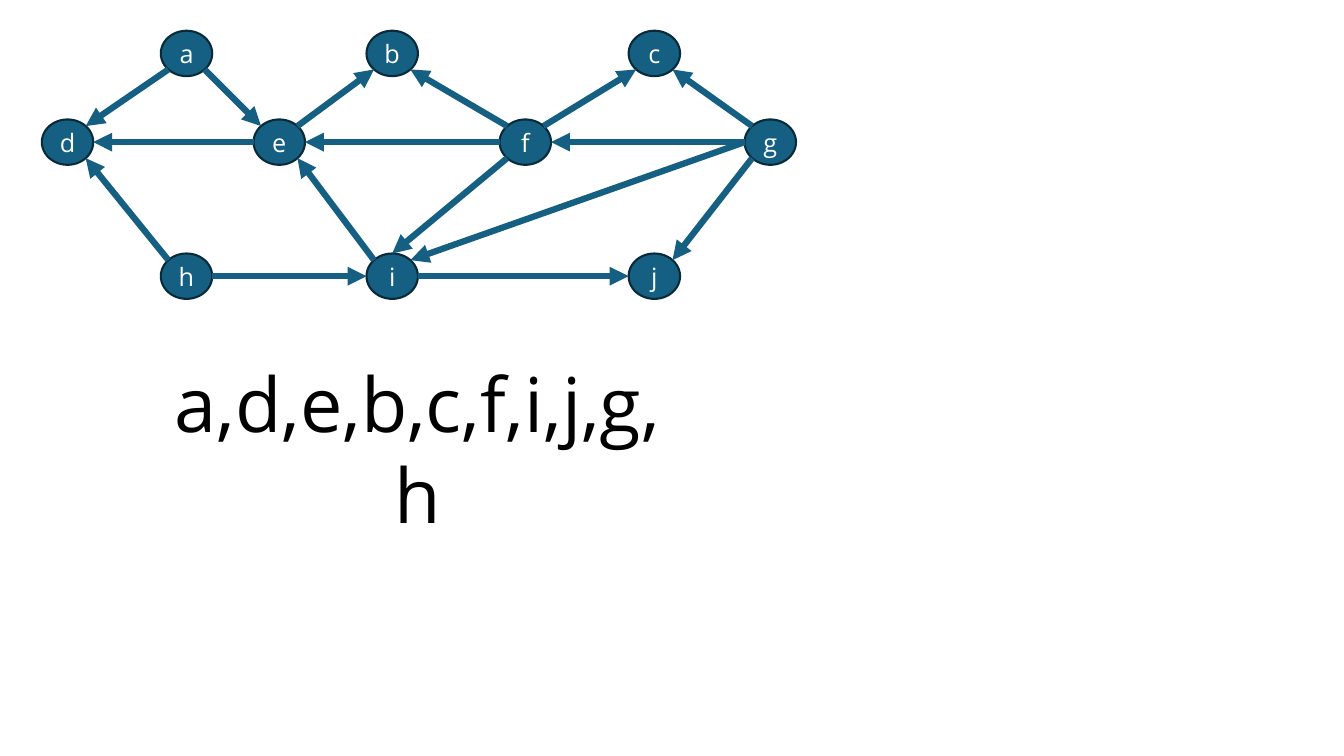
from dataclasses import dataclass
from math import cos, pi, sin

from lxml import etree
from pptx import Presentation
from pptx.dml.color import RGBColor
from pptx.enum.shapes import MSO_CONNECTOR, MSO_SHAPE
from pptx.enum.text import MSO_ANCHOR, PP_ALIGN
from pptx.oxml.ns import qn
from pptx.util import Inches, Pt

STRAIGHT, ELLIPSE = MSO_CONNECTOR.STRAIGHT, MSO_SHAPE.OVAL
MIDDLE, TOP, CENTER = MSO_ANCHOR.MIDDLE, MSO_ANCHOR.TOP, PP_ALIGN.CENTER

# Connection sites of an ellipse, counted anticlockwise from the top
(NORTH, NORTHWEST, WEST, SOUTHWEST,
 SOUTH, SOUTHEAST, EAST, NORTHEAST) = range(8)

# Centres of the graph's columns and rows, in inches
COLUMNS = (0.67, 1.85, 2.77, 3.89, 5.21, 6.49, 7.64)
ROWS = (0.53, 1.41, 2.74)
NODES = {
    "a": (1, 0), "b": (3, 0), "c": (5, 0),
    "d": (0, 1), "e": (2, 1), "f": (4, 1), "g": (6, 1),
    "h": (1, 2), "i": (3, 2), "j": (5, 2),
}
EDGES = (
    ("a", SOUTHWEST, "d", NORTHEAST), ("h", NORTHWEST, "d", SOUTHEAST),
    ("h", EAST, "i", WEST), ("i", EAST, "j", WEST),
    ("g", SOUTHWEST, "j", NORTHEAST), ("g", WEST, "i", NORTHEAST),
    ("g", NORTHWEST, "c", SOUTHEAST), ("g", WEST, "f", EAST),
    ("f", NORTHEAST, "c", SOUTHWEST), ("f", WEST, "e", EAST),
    ("e", NORTHEAST, "b", SOUTHWEST), ("f", NORTHWEST, "b", SOUTHEAST),
    ("a", SOUTHEAST, "e", NORTHWEST), ("e", WEST, "d", EAST),
    ("i", NORTHWEST, "e", SOUTHEAST), ("f", SOUTHWEST, "i", NORTH),
)
VISIT_ORDER = "a,d,e,b,c,f,i,j,g,h"


@dataclass(frozen=True)
class Theme:
    font: str = "Open Sans"
    blue: RGBColor = RGBColor(0x15, 0x60, 0x82)
    outline: RGBColor = RGBColor(0x09, 0x2A, 0x39)
    white: RGBColor = RGBColor(0xFF, 0xFF, 0xFF)
    black: RGBColor = RGBColor(0, 0, 0)
    node_size: Pt = Pt(18)
    order_size: Pt = Pt(54)
    outline_width: Pt = Pt(1.5)
    arrow_width: Pt = Pt(4.5)
    node_width: float = 0.51
    node_height: float = 0.45


class GraphSlide:
    def __init__(self, slide, theme):
        self.slide, self.theme = slide, theme
        self.nodes = {}

    def set_text(self, shape, text, size, color, anchor):
        frame = shape.text_frame
        for name, value in {"word_wrap": True, "vertical_anchor": anchor}.items():
            setattr(frame, name, value)
        para = frame.paragraphs[0]
        para.alignment = CENTER
        span = para.add_run()
        span.text = text
        for name, value in {"name": self.theme.font, "size": size}.items():
            setattr(span.font, name, value)
        span.font.color.rgb = color

    def node(self, label, column, row):
        theme = self.theme
        width, height = theme.node_width, theme.node_height
        shape = self.slide.shapes.add_shape(
            ELLIPSE, Inches(COLUMNS[column] - width / 2),
            Inches(ROWS[row] - height / 2), Inches(width), Inches(height))
        shape.shadow.inherit = False
        shape.fill.solid()
        shape.fill.fore_color.rgb = theme.blue
        shape.line.color.rgb = theme.outline
        shape.line.width = theme.outline_width
        self.set_text(shape, label, theme.node_size, theme.white, MIDDLE)
        self.nodes[label] = shape

    def site_point(self, label, site):
        """Return the place of a connection site on a node's rim."""
        shape = self.nodes[label]
        angle = site * pi / 4
        return (round(shape.left + shape.width / 2 * (1 - sin(angle))),
                round(shape.top + shape.height / 2 * (1 - cos(angle))))

    def arrow(self, source, source_site, target, target_site):
        connector = self.slide.shapes.add_connector(
            STRAIGHT, *self.site_point(source, source_site),
            *self.site_point(target, target_site))
        connector.line.color.rgb = self.theme.blue
        connector.line.width = self.theme.arrow_width
        properties = connector.element.spPr
        etree.SubElement(properties.find(qn("a:ln")), qn("a:tailEnd"), type="triangle")
        etree.SubElement(properties, qn("a:effectLst"))
        glue = connector.element.nvCxnSpPr.cNvCxnSpPr
        for tag, label, site in (("a:stCxn", source, source_site),
                                 ("a:endCxn", target, target_site)):
            etree.SubElement(glue, qn(tag), id=str(self.nodes[label].shape_id),
                             idx=str(site))

    def order(self, text, left, top, width, height):
        box = self.slide.shapes.add_textbox(*map(Inches, (left, top, width, height)))
        self.set_text(box, text, self.theme.order_size, self.theme.black, TOP)


def main():
    deck = Presentation()
    deck.slide_width, deck.slide_height = Inches(13.33), Inches(7.5)
    page = GraphSlide(deck.slides.add_slide(deck.slide_layouts[6]), Theme())
    for label, place in NODES.items():
        page.node(label, *place)
    for edge in EDGES:
        page.arrow(*edge)
    page.order(VISIT_ORDER, left=1.42, top=3.49, width=5.44, height=1.01)
    deck.save("out.pptx")


if __name__ == "__main__":
    main()
